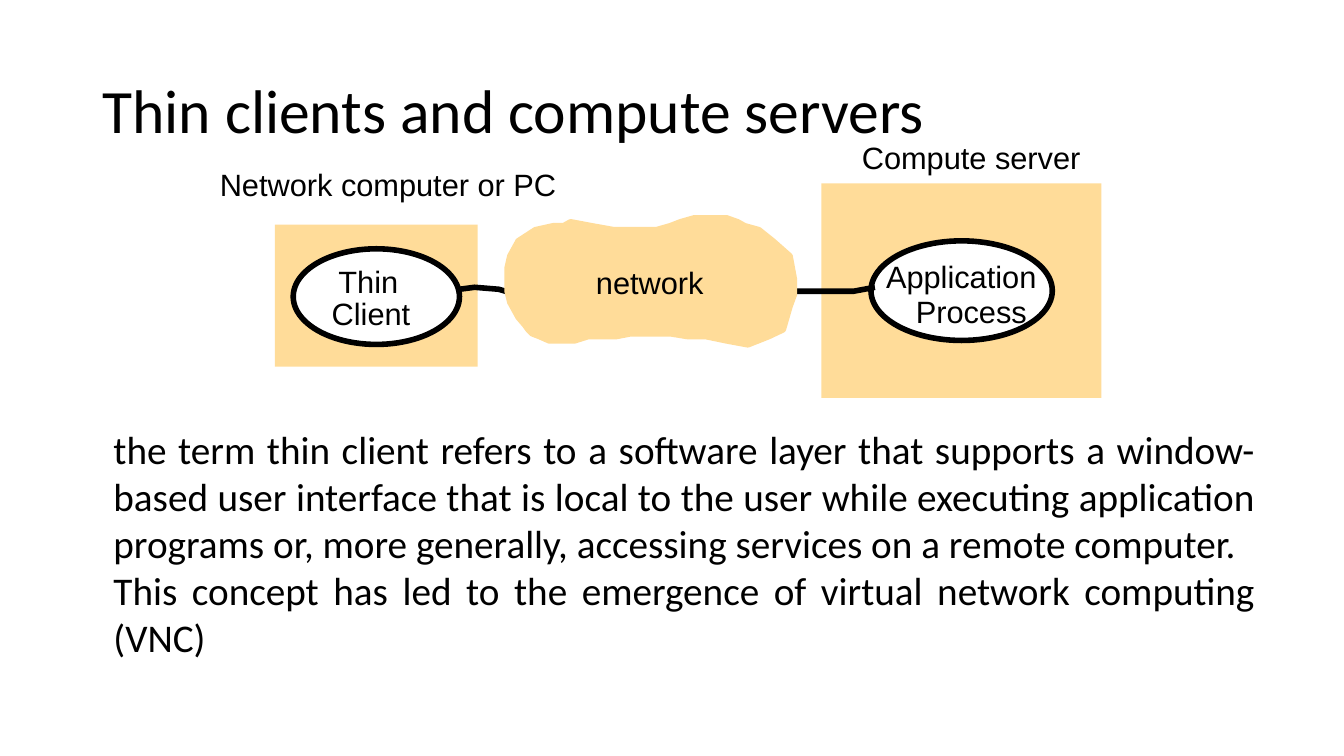
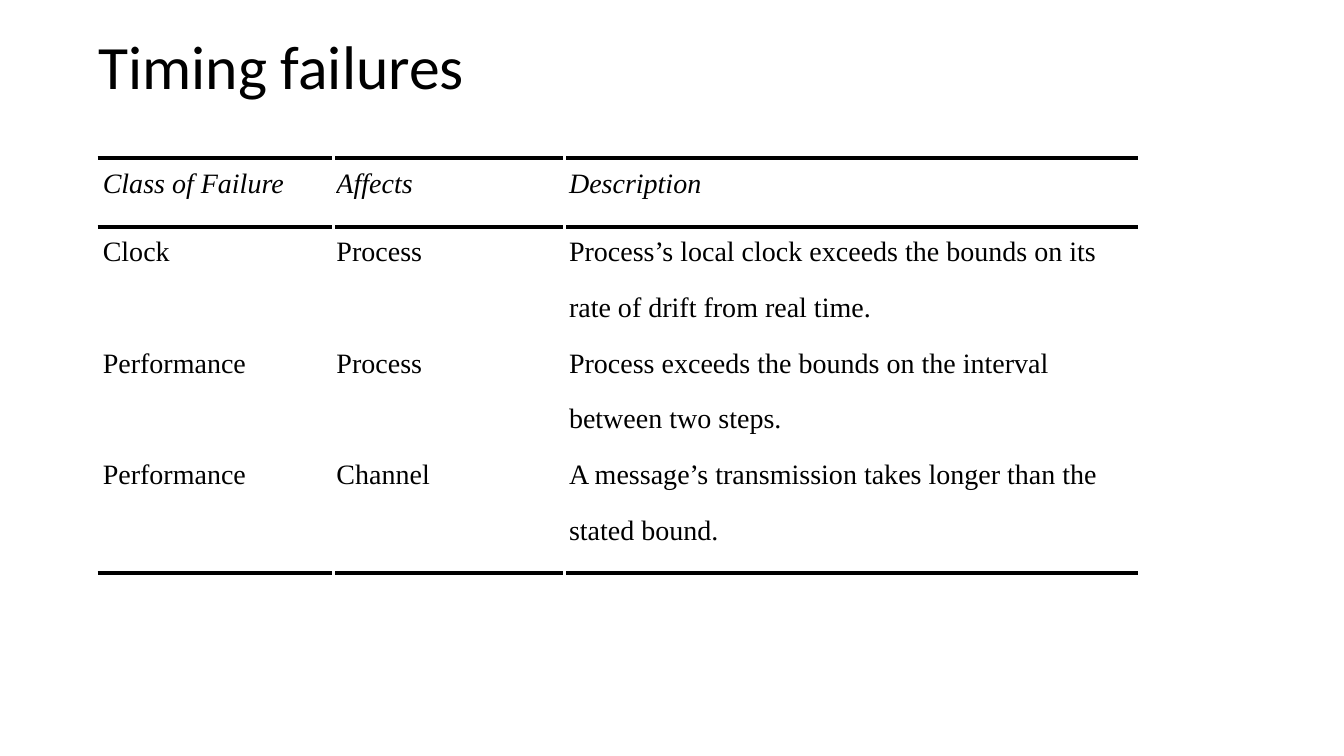
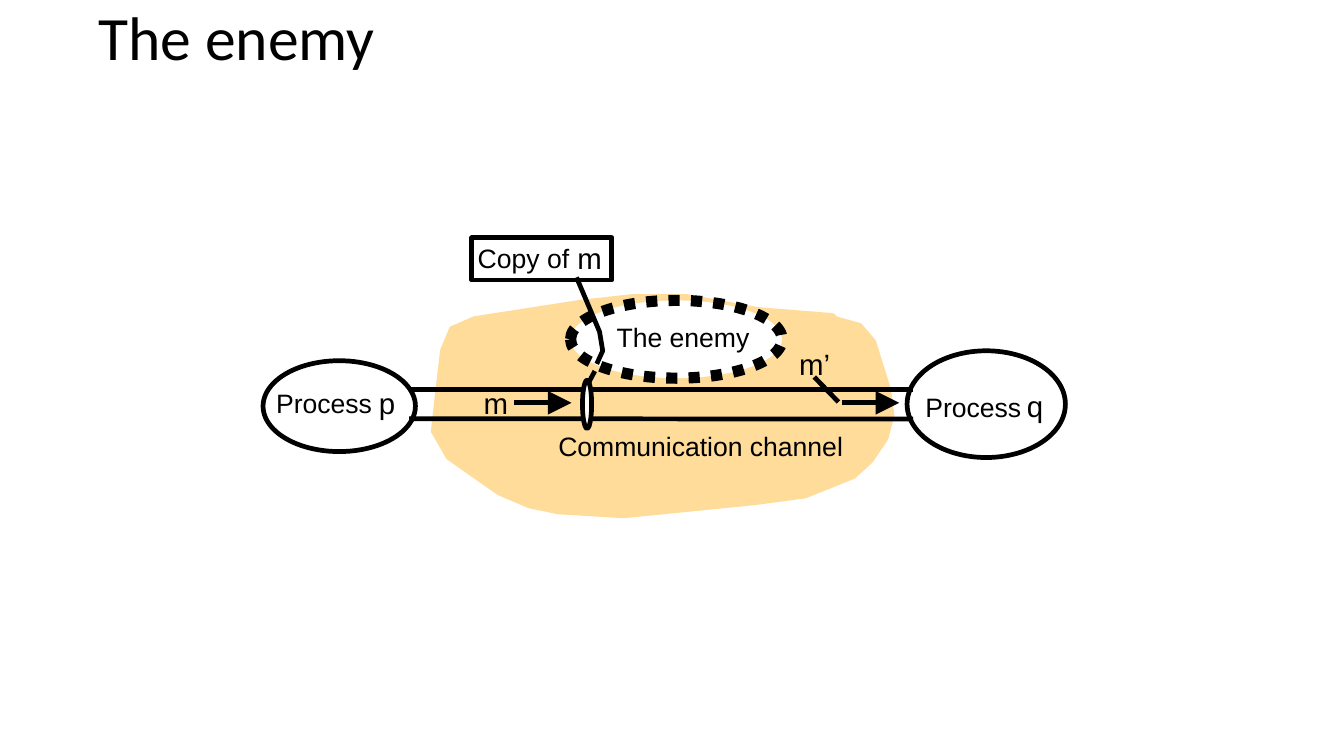
"""Build three slides on thin clients, timing failures and channel threats."""
from dataclasses import dataclass
from itertools import accumulate
from typing import NamedTuple, Optional

from lxml import etree
from pptx import Presentation
from pptx.dml.color import RGBColor
from pptx.enum.dml import MSO_LINE
from pptx.enum.shapes import MSO_CONNECTOR, MSO_SHAPE
from pptx.enum.text import MSO_ANCHOR, MSO_AUTO_SIZE, PP_ALIGN
from pptx.oxml.ns import qn
from pptx.util import Cm, Pt

BLACK = RGBColor(0x00, 0x00, 0x00)
WHITE = RGBColor(0xFF, 0xFF, 0xFF)
SAND = RGBColor(0xFF, 0xDC, 0x99)

OVAL = MSO_SHAPE.OVAL
RECTANGLE = MSO_SHAPE.RECTANGLE
STRAIGHT = MSO_CONNECTOR.STRAIGHT
DOTTED = MSO_LINE.ROUND_DOT
TOP, MIDDLE, BOTTOM = MSO_ANCHOR.TOP, MSO_ANCHOR.MIDDLE, MSO_ANCHOR.BOTTOM
LEFT, JUSTIFY = PP_ALIGN.LEFT, PP_ALIGN.JUSTIFY
GROW, FIXED = MSO_AUTO_SIZE.SHAPE_TO_FIT_TEXT, MSO_AUTO_SIZE.NONE

HEADING_FONT, DIAGRAM_FONT, TABLE_FONT = "Calibri", "Arial", "Times New Roman"
THICK, MEDIUM, TABLE_RULE = 4, 3.38, 2.88


class Box(NamedTuple):
    """Left, top, width and height in centimetres."""
    left: float
    top: float
    width: float
    height: float


class Point(NamedTuple):
    """A position in centimetres."""
    x: float
    y: float


class Column(NamedTuple):
    """Width and text inset of a table column in centimetres."""
    width: float
    inset: float


@dataclass(frozen=True)
class Label:
    """A one-line diagram label."""
    text: str
    left: float
    top: float
    width: float
    size: int


@dataclass(frozen=True)
class Node:
    """A preset shape with its fill and outline."""
    kind: int
    box: Box
    fill: Optional[RGBColor] = None
    line: Optional[float] = None
    dash: Optional[int] = None


@dataclass(frozen=True)
class Stroke:
    """A straight line, with an arrowhead if wanted."""
    start: Point
    end: Point
    width: float = MEDIUM
    arrow: bool = False


NETWORK_OUTLINE = [
    (12.95, 6.27), (13.06, 6.07), (13.49, 5.79), (13.94, 5.69), (14.2, 5.69),
    (14.38, 5.59), (14.91, 5.69), (15.47, 5.79), (16.54, 5.79), (16.89, 5.69),
    (17.15, 5.59), (17.5, 5.49), (18.31, 5.49), (18.59, 5.59), (18.77, 5.69),
    (19.13, 5.79), (19.48, 6.07), (19.91, 6.45), (20.02, 7.04), (20.02, 7.42),
    (19.91, 7.72), (19.74, 8.31), (19.38, 8.48), (18.85, 8.69), (18.31, 8.59),
    (17.78, 8.48), (17.32, 8.48), (16.89, 8.41), (15.9, 8.41), (15.54, 8.48),
    (14.83, 8.48), (14.48, 8.59), (13.84, 8.59), (13.59, 8.48), (13.41, 8.41),
    (13.31, 8.31), (13.23, 8.2), (13.06, 8), (12.85, 7.62), (12.78, 7.34),
    (12.78, 6.76), (12.85, 6.45),
]
CLIENT_LINK = [(11.58, 7.29), (11.96, 7.24), (12.57, 7.29), (13.08, 7.44)]
SERVER_LINK = [(22.05, 7.24), (21.51, 7.34), (19.35, 7.34)]
COMPUTERS = [
    Node(RECTANGLE, Box(6.93, 5.66, 5.11, 3.58), SAND),
    Node(RECTANGLE, Box(20.7, 4.62, 7.06, 5.41), SAND),
    Node(OVAL, Box(7.39, 6.27, 4.19, 2.41), WHITE, THICK),
    Node(OVAL, Box(21.95, 6.07, 4.57, 2.51), WHITE, THICK),
]
COMPUTER_LABELS = [
    Label("Thin", 8.53, 6.63, 1.52, 22),
    Label("Client", 8.36, 7.42, 2.01, 22),
    Label("Application", 22.33, 6.5, 3.84, 22),
    Label("Process", 23.08, 7.37, 2.82, 22),
    Label("Network computer or PC", 5.54, 4.17, 8.59, 22),
    Label("Compute server", 21.72, 3.49, 5.59, 22),
    Label("network", 15.02, 6.65, 2.74, 22),
]
THIN_CLIENT_TEXT = (
    "the term thin client refers to a software layer that supports a "
    "window-based user interface that is local to the user while executing "
    "application programs or, more generally, accessing services on a remote "
    "computer.\nThis concept has led to the emergence of virtual network "
    "computing (VNC)"
)

FAILURES = [
    ("Class of Failure", "Affects", "Description"),
    ("Clock", "Process",
     "Process’s local clock exceeds the bounds on its\nrate of drift from real time."),
    ("Performance", "Process",
     "Process exceeds the bounds on the interval\nbetween two steps."),
    ("Performance", "Channel",
     "A message’s transmission takes longer than the\nstated bound."),
]
TABLE_CORNER = Point(2.46, 3.99)
COLUMNS = [Column(5.99, 0.13), Column(5.82, 0.03), Column(14.49, 0.07)]
ROW_HEIGHTS = [1.73, 2.81, 2.81, 3.09]
RULED_EDGES = (0, 1, len(FAILURES))
RULE_GAP = 0.08

CHANNEL_OUTLINE = [
    (20.98, 7.95), (19.1, 7.8), (17.3, 7.47), (15.95, 7.47), (14.6, 7.62),
    (11.96, 8.03), (11.38, 8.28), (11.15, 8.84), (11, 10.13), (10.92, 10.87),
    (11.3, 11.53), (12.57, 12.42), (13.34, 12.75), (14.07, 12.9), (15.72, 13),
    (19.02, 12.67), (20.29, 12.5), (21.51, 12.01), (21.95, 11.61),
    (22.33, 11.05), (22.48, 10.46), (22.4, 9.83), (22.02, 8.61), (21.67, 8.2),
    (21.06, 8.03),
]
COPY_LINK = [(14.53, 6.99), (15.11, 8.36), (15.19, 8.84), (15.04, 9.17)]
ENEMY = Node(OVAL, Box(14.38, 7.57, 5.33, 1.96), WHITE, 8, DOTTED)
PROCESSES = [
    Node(OVAL, Box(22.86, 8.84, 3.99, 2.69), WHITE, MEDIUM),
    Node(OVAL, Box(6.63, 9.09, 3.84, 2.29), WHITE, MEDIUM),
]
COPY_FRAME = Node(RECTANGLE, Box(11.89, 5.99, 3.53, 1.07), None, MEDIUM)
TAP = Node(OVAL, Box(14.68, 9.58, 0.23, 1.22), WHITE, MEDIUM)
CHANNEL_STROKES = [
    Stroke(Point(10.31, 9.82), Point(23.01, 9.82)),
    Stroke(Point(10.31, 10.55), Point(23.01, 10.56)),
    Stroke(Point(12.95, 10.15), Point(14.4, 10.15), arrow=True),
    Stroke(Point(21.21, 10.15), Point(22.66, 10.15), arrow=True),
    Stroke(Point(21.13, 10.13), Point(20.52, 9.5)),
]
TAP_STROKE = Stroke(Point(14.83, 9.65), Point(14.99, 9.35))
CHANNEL_LABELS = [
    Label("Communication channel", 14.07, 10.83, 7.29, 19),
    Label("Copy of", 12.04, 6.1, 2.51, 19),
    Label("m", 14.55, 6.05, 0.64, 21),
    Label("Process", 6.96, 9.75, 2.64, 19),
    Label("p", 9.55, 9.7, 0.41, 21),
    Label("Process", 23.32, 9.86, 2.64, 19),
    Label("q", 25.88, 9.78, 0.41, 21),
    Label("m", 12.19, 9.7, 0.64, 21),
    Label("The enemy", 15.54, 8.1, 3.4, 19),
    Label("m’", 20.14, 8.71, 0.79, 21),
]


def write_text(frame, text: str, *, size: float, font: str, italic: bool = False,
               align: int = LEFT, spacing: Optional[float] = None,
               gap: float = 0) -> None:
    """Fill a text frame, one paragraph per line of text."""
    for index, content in enumerate(text.split("\n")):
        paragraph = frame.add_paragraph() if index else frame.paragraphs[0]
        paragraph.alignment = align
        if spacing:
            paragraph.line_spacing = spacing
        if index and gap:
            paragraph.space_before = Pt(gap)
        run = paragraph.add_run()
        run.text = content
        run.font.size = Pt(size)
        run.font.name = font
        run.font.italic = italic
        run.font.color.rgb = BLACK


def add_frame(slide, box: Box, *, insets: Box, anchor: int = TOP,
              wrap: bool = True, auto_size: int = FIXED):
    """Add a text box and return its text frame."""
    frame = slide.shapes.add_textbox(*map(Cm, box)).text_frame
    frame.margin_left, frame.margin_top, frame.margin_right, frame.margin_bottom = map(Cm, insets)
    frame.vertical_anchor = anchor
    frame.word_wrap = wrap
    frame.auto_size = auto_size
    return frame


def add_title(slide, text: str, left: float, top: float, anchor: int = MIDDLE) -> None:
    """Add the slide title."""
    frame = add_frame(slide, Box(left, top, 29.21, 3.68),
                      insets=Box(0.25, 0.13, 0.36, 0.13), anchor=anchor)
    write_text(frame, text, size=44, font=HEADING_FONT, spacing=0.9)


def add_labels(slide, labels: list[Label]) -> None:
    """Add diagram labels whose height follows their text size."""
    for label in labels:
        box = Box(label.left, label.top, label.width, round(label.size * 0.0427, 2))
        frame = add_frame(slide, box, insets=Box(0, 0, 0, 0), wrap=False, auto_size=GROW)
        write_text(frame, label.text, size=label.size, font=DIAGRAM_FONT)


def paint(shape, fill: Optional[RGBColor], line: Optional[RGBColor],
          width: Optional[float]) -> None:
    """Set the fill and outline of a shape and drop its shadow."""
    shape.shadow.inherit = False
    if fill is None:
        shape.fill.background()
    else:
        shape.fill.solid()
        shape.fill.fore_color.rgb = fill
    if width is None:
        shape.line.fill.background()
    else:
        shape.line.color.rgb = line
        shape.line.width = Pt(width)


def add_node(slide, node: Node) -> None:
    """Draw a preset shape."""
    shape = slide.shapes.add_shape(node.kind, *map(Cm, node.box))
    paint(shape, node.fill, BLACK, node.line)
    if node.dash is not None:
        shape.line.dash_style = node.dash


def add_outline(slide, points: list[tuple[float, float]], width: float,
                fill: Optional[RGBColor] = None) -> None:
    """Draw a closed filled area, or an open black line when there is no fill."""
    start, *rest = [(Cm(x), Cm(y)) for x, y in points]
    builder = slide.shapes.build_freeform(*start)
    builder.add_line_segments(rest, close=fill is not None)
    paint(builder.convert_to_shape(), fill, fill or BLACK, width)


def add_stroke(slide, stroke: Stroke) -> None:
    """Draw a straight line or arrow."""
    connector = slide.shapes.add_connector(
        STRAIGHT, *map(Cm, (*stroke.start, *stroke.end)))
    connector.line.color.rgb = BLACK
    connector.line.width = Pt(stroke.width)
    properties = connector._element.spPr
    if stroke.arrow:
        etree.SubElement(properties.find(qn("a:ln")), qn("a:tailEnd"),
                         type="triangle", w="lg", len="lg")
    etree.SubElement(properties, qn("a:effectLst"))


def add_failure_table(slide) -> None:
    """Add the table of failure classes."""
    table = slide.shapes.add_table(
        len(FAILURES), len(COLUMNS), *map(Cm, TABLE_CORNER),
        Cm(sum(column.width for column in COLUMNS)), Cm(sum(ROW_HEIGHTS))).table
    table.first_row = table.horz_banding = False
    for table_column, column in zip(table.columns, COLUMNS):
        table_column.width = Cm(column.width)
    for row, height in enumerate(ROW_HEIGHTS):
        table.rows[row].height = Cm(height)
        for index, text in enumerate(FAILURES[row]):
            cell = table.cell(row, index)
            cell.margin_left = Cm(COLUMNS[index].inset)
            cell.margin_top = Cm(0.25)
            cell.margin_right = cell.margin_bottom = Cm(0)
            cell.fill.background()
            write_text(cell.text_frame, text, size=20, font=TABLE_FONT,
                       italic=row == 0, gap=17.4)


def add_table_rules(slide) -> None:
    """Rule the table above, below and under its heading, with gaps between columns."""
    edges = list(accumulate(ROW_HEIGHTS, initial=TABLE_CORNER.y))
    lefts = accumulate((column.width for column in COLUMNS), initial=TABLE_CORNER.x)
    spans = [(left, left + column.width - RULE_GAP) for left, column in zip(lefts, COLUMNS)]
    for edge in RULED_EDGES:
        for left, right in spans:
            add_stroke(slide, Stroke(Point(left, edges[edge]), Point(right, edges[edge]),
                                     width=TABLE_RULE))


def build_thin_clients(slide) -> None:
    """Draw the thin client slide."""
    add_title(slide, "Thin clients and compute servers", 2.33, 1.02)
    for node in COMPUTERS:
        add_node(slide, node)
    add_outline(slide, CLIENT_LINK, THICK)
    add_outline(slide, SERVER_LINK, THICK)
    add_outline(slide, NETWORK_OUTLINE, THICK, SAND)
    add_labels(slide, COMPUTER_LABELS)
    body = add_frame(slide, Box(2.61, 10.59, 29.26, 6.25),
                     insets=Box(0.25, 0.13, 0.25, 0.13), auto_size=GROW)
    write_text(body, THIN_CLIENT_TEXT, size=28, font=HEADING_FONT, align=JUSTIFY)


def build_timing_failures(slide) -> None:
    """Draw the timing failure slide."""
    add_title(slide, "Timing failures", 2.23, -0.96, BOTTOM)
    add_failure_table(slide)
    add_table_rules(slide)


def build_enemy(slide) -> None:
    """Draw the slide on the threat to a channel."""
    add_title(slide, "The enemy", 2.23, -0.81)
    add_outline(slide, CHANNEL_OUTLINE, MEDIUM, SAND)
    for node in (ENEMY, *PROCESSES, COPY_FRAME):
        add_node(slide, node)
    for stroke in CHANNEL_STROKES:
        add_stroke(slide, stroke)
    add_labels(slide, CHANNEL_LABELS)
    add_node(slide, TAP)
    add_stroke(slide, TAP_STROKE)
    add_outline(slide, COPY_LINK, MEDIUM)


def main() -> None:
    """Build and save the presentation."""
    presentation = Presentation()
    presentation.slide_width, presentation.slide_height = Cm(33.87), Cm(19.05)
    blank = presentation.slide_layouts[6]
    for build in (build_thin_clients, build_timing_failures, build_enemy):
        build(presentation.slides.add_slide(blank))
    presentation.save("out.pptx")


if __name__ == "__main__":
    main()
